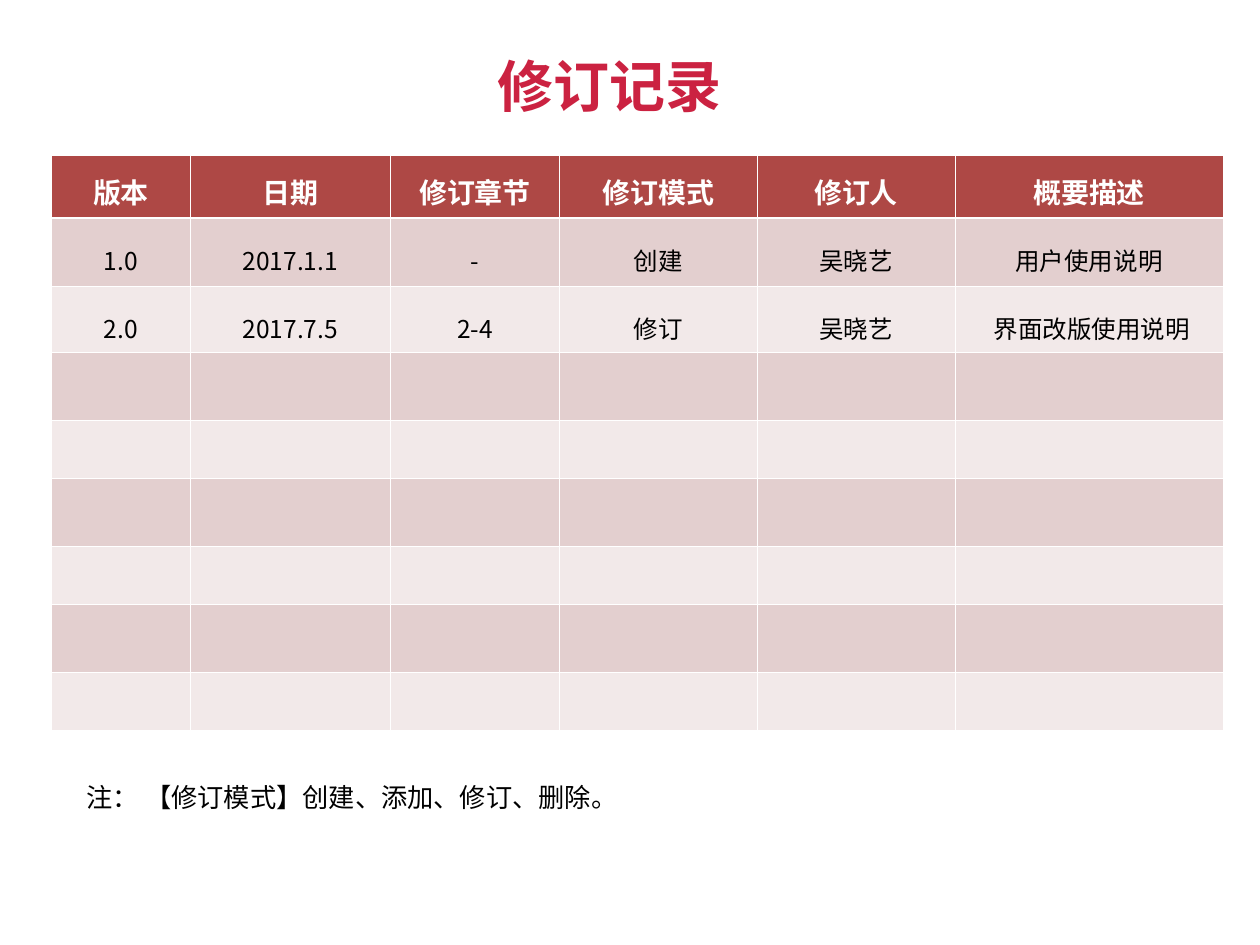
from lxml.etree import SubElement
from pptx import Presentation
from pptx.dml.color import RGBColor
from pptx.enum.text import MSO_ANCHOR, PP_ALIGN
from pptx.oxml.ns import qn
from pptx.util import Inches, Pt

TITLE = "修订记录"
HEADERS = ["版本", "日期", "修订章节", "修订模式", "修订人", "概要描述"]
REVISIONS = [
    ["1.0", "2017.1.1", "-", "创建", "吴晓艺", "用户使用说明"],
    ["2.0", "2017.7.5", "2-4", "修订", "吴晓艺", " 界面改版使用说明"],
]
NOTE = "注： 【修订模式】创建、添加、修订、删除。"

COLUMN_WIDTHS = [1.1, 1.59, 1.34, 1.57, 1.57, 2.13]
ROW_HEIGHTS = [0.5, 0.54, 0.53, 0.54, 0.46, 0.54, 0.46, 0.54, 0.46]

CRIMSON = RGBColor(0xCB, 0x22, 0x41)
BRICK = RGBColor(0xAE, 0x48, 0x45)
ROSE = RGBColor(0xE3, 0xCF, 0xCF)
PALE = RGBColor(0xF2, 0xE9, 0xE9)
WHITE = RGBColor(0xFF, 0xFF, 0xFF)
BLACK = RGBColor(0x00, 0x00, 0x00)
CJK_FONT = "Noto Sans CJK SC"
HEADER_FONT = "Calibri"
THIN, THICK = 0.45, 1.47


def write_text(frame, text, size, color=BLACK, font=CJK_FONT, bold=False,
               align=PP_ALIGN.LEFT, spacing=1.0):
    frame.word_wrap = True
    paragraph = frame.paragraphs[0]
    paragraph.alignment = align
    paragraph.line_spacing = spacing
    run = paragraph.add_run()
    run.text = text
    run.font.size = Pt(size)
    run.font.bold = bold
    run.font.color.rgb = color
    run.font.name = font
    SubElement(run.font._element, qn("a:ea"), typeface=CJK_FONT)


def set_borders(cell, **widths):
    properties = cell._tc.get_or_add_tcPr()
    for side in "LRTB":
        width = Pt(widths.get(side, THIN))
        line = SubElement(properties, qn(f"a:ln{side}"), w=str(width))
        fill = SubElement(line, qn("a:solidFill"))
        SubElement(fill, qn("a:srgbClr"), val=str(WHITE))


def add_revision_table(slide):
    shape = slide.shapes.add_table(
        len(ROW_HEIGHTS), len(COLUMN_WIDTHS), Inches(0.41), Inches(1.23),
        Inches(sum(COLUMN_WIDTHS)), Inches(sum(ROW_HEIGHTS)))
    table = shape.table
    for column, width in zip(table.columns, COLUMN_WIDTHS):
        column.width = Inches(width)
    for row_index, (row, height) in enumerate(zip(table.rows, ROW_HEIGHTS)):
        row.height = Inches(height)
        for cell in row.cells:
            borders = {0: {"B": THICK}, 1: {"T": THICK}}.get(row_index, {})
            set_borders(cell, **borders)
            cell.fill.solid()
            band = ROSE if row_index % 2 else PALE
            cell.fill.fore_color.rgb = band if row_index else BRICK
    for cell, text in zip(table.rows[0].cells, HEADERS):
        write_text(cell.text_frame, text, 16, color=WHITE, font=HEADER_FONT,
                   bold=True, align=PP_ALIGN.CENTER, spacing=1.25)
    for row_index, revision in enumerate(REVISIONS, start=1):
        for cell, text in zip(table.rows[row_index].cells, revision):
            write_text(cell.text_frame, text, 14, align=PP_ALIGN.CENTER,
                       spacing=1.5)


def main():
    presentation = Presentation()
    presentation.slide_width = Inches(10)
    presentation.slide_height = Inches(7.5)
    slide = presentation.slides.add_slide(presentation.slide_layouts[5])

    add_revision_table(slide)

    title = slide.shapes.title
    title.left, title.top = Inches(3.85), Inches(0.36)
    title.width, title.height = Inches(2.08), Inches(0.61)
    title.text_frame.vertical_anchor = MSO_ANCHOR.TOP
    write_text(title.text_frame, TITLE, 32, color=CRIMSON, bold=True)

    note = slide.shapes.add_textbox(
        Inches(0.59), Inches(6.03), Inches(7.4), Inches(0.48))
    write_text(note.text_frame, NOTE, 15, spacing=1.5)

    presentation.save("out.pptx")


if __name__ == "__main__":
    main()
